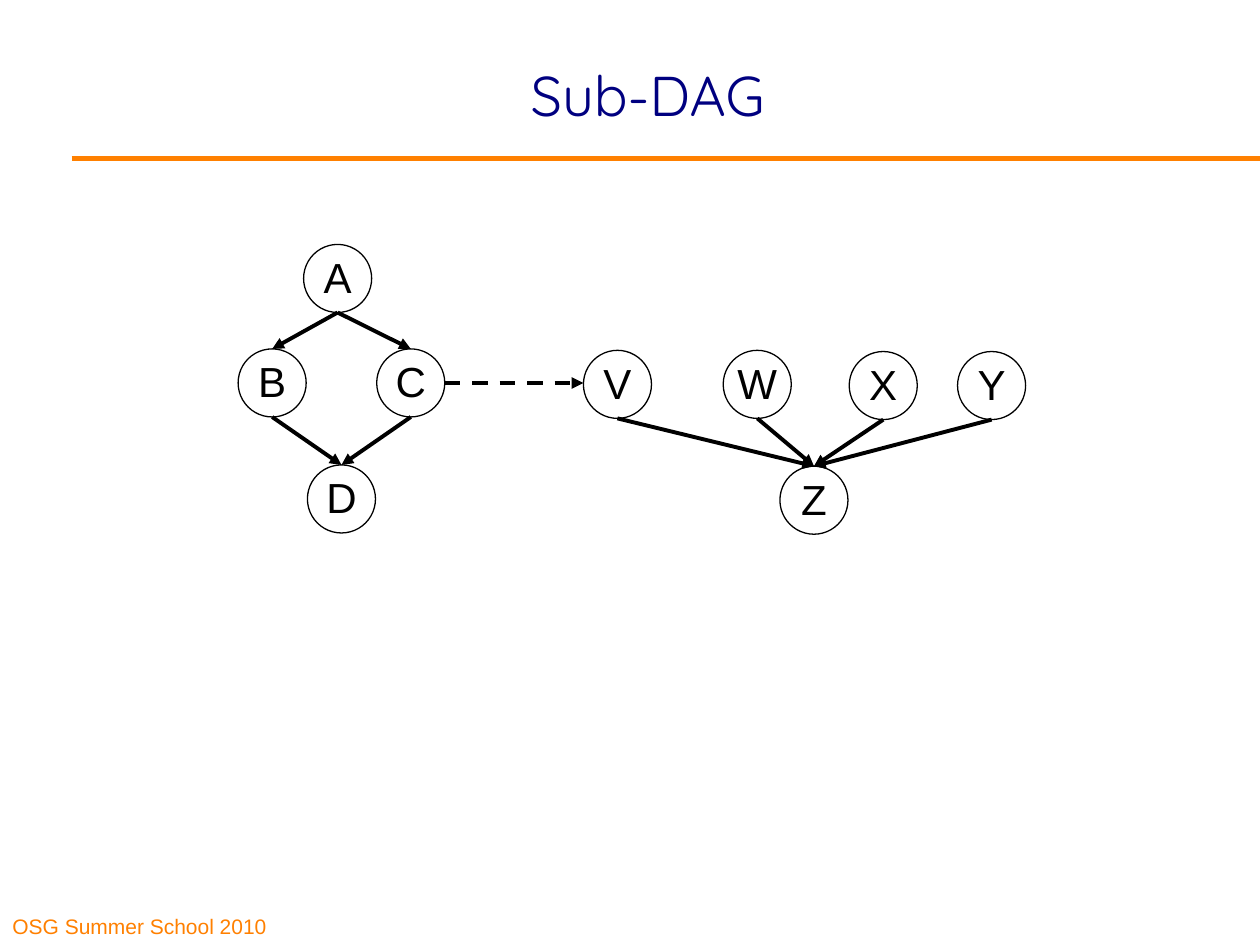
from pptx import Presentation
from pptx.dml.color import RGBColor
from pptx.enum.dml import MSO_LINE
from pptx.enum.shapes import MSO_CONNECTOR, MSO_SHAPE
from pptx.enum.text import MSO_ANCHOR, PP_ALIGN
from pptx.oxml.ns import qn
from pptx.util import Pt
from lxml.etree import SubElement

# Content
TITLE = "Sub-DAG"
FOOTER = "OSG Summer School 2010"
SIZE = 38.9  # node diameter
NODES = {  # name: (left, top)
    "A": (173.5, 139.7),
    "B": (136.1, 199.4), "C": (215.3, 199.4),
    "D": (175.7, 265.7),
    "V": (333.4, 200.2), "W": (413.3, 200.2),
    "X": (485.3, 200.9), "Y": (547.2, 200.9),
    "Z": (445.7, 266.4),
}
EDGES = ["AB", "AC", "BD", "CD", "VZ", "WZ", "XZ", "YZ"]
SUB_DAG_LINK = "CV"
BLACK, ORANGE, NAVY = "000000", "FF8000", "000080"


def color(hex_code):
    return RGBColor.from_string(hex_code)


def put_text(shape, text, size, font="Arial", fill=BLACK, align=PP_ALIGN.LEFT,
             anchor=MSO_ANCHOR.MIDDLE, wrap=True):
    tf = shape.text_frame
    tf.word_wrap, tf.vertical_anchor = wrap, anchor
    p = tf.paragraphs[0]
    p.alignment = align
    r = p.add_run()
    r.text = text
    r.font.size, r.font.name = Pt(size), font
    r.font.color.rgb = color(fill)
    return tf


def add_line(x1, y1, x2, y2, fill=BLACK, width=2.25, dash=None, arrow=True):
    line = s.shapes.add_connector(MSO_CONNECTOR.STRAIGHT,
                                  Pt(x1), Pt(y1), Pt(x2), Pt(y2))
    line.line.color.rgb, line.line.width = color(fill), Pt(width)
    if dash:
        line.line.dash_style = dash
    sp_pr = line._element.spPr
    if arrow:
        SubElement(sp_pr.find(qn("a:ln")), qn("a:tailEnd"), type="triangle")
    SubElement(sp_pr, qn("a:effectLst"))
    return line


def add_node(name, left, top):
    sp = s.shapes.add_shape(MSO_SHAPE.OVAL, Pt(left), Pt(top), Pt(SIZE), Pt(SIZE))
    sp.shadow.inherit = False
    sp.fill.background()
    sp.line.color.rgb, sp.line.width = color(BLACK), Pt(0.75)
    tf = put_text(sp, name, 24, align=PP_ALIGN.CENTER, wrap=False)
    tf.margin_left = tf.margin_right = tf.margin_top = 0
    tf.margin_bottom = Pt(2)
    return sp


prs = Presentation()
prs.slide_width, prs.slide_height = Pt(720), Pt(540)
s = prs.slides.add_slide(prs.slide_layouts[5])

# Title, rule and footer
title = s.shapes.title
title.left, title.top, title.width, title.height = Pt(96.5), Pt(8.6), Pt(547.2), Pt(90)
put_text(title, TITLE, 32, "Quicksand", NAVY, PP_ALIGN.CENTER)
add_line(41, 90.7, 720, 90.7, ORANGE, 3, arrow=False)
footer = s.shapes.add_textbox(0, Pt(509.8), Pt(178.6), Pt(30.2))
put_text(footer, FOOTER, 12, fill=ORANGE, anchor=MSO_ANCHOR.BOTTOM)

# Nodes
circles = {name: add_node(name, *place) for name, place in NODES.items()}

# Edges run from the bottom of the parent to the top of the child
for parent, child in EDGES:
    (x1, y1), (x2, y2) = NODES[parent], NODES[child]
    edge = add_line(x1 + SIZE / 2, y1 + SIZE, x2 + SIZE / 2, y2)
    edge.end_connect(circles[child], 0)

# Dashed link from the node to the DAG it stands for
(x1, y1), (x2, _) = (NODES[name] for name in SUB_DAG_LINK)
add_line(x1 + SIZE, y1 + SIZE / 2, x2, y1 + SIZE / 2, dash=MSO_LINE.DASH)

prs.save("out.pptx")
